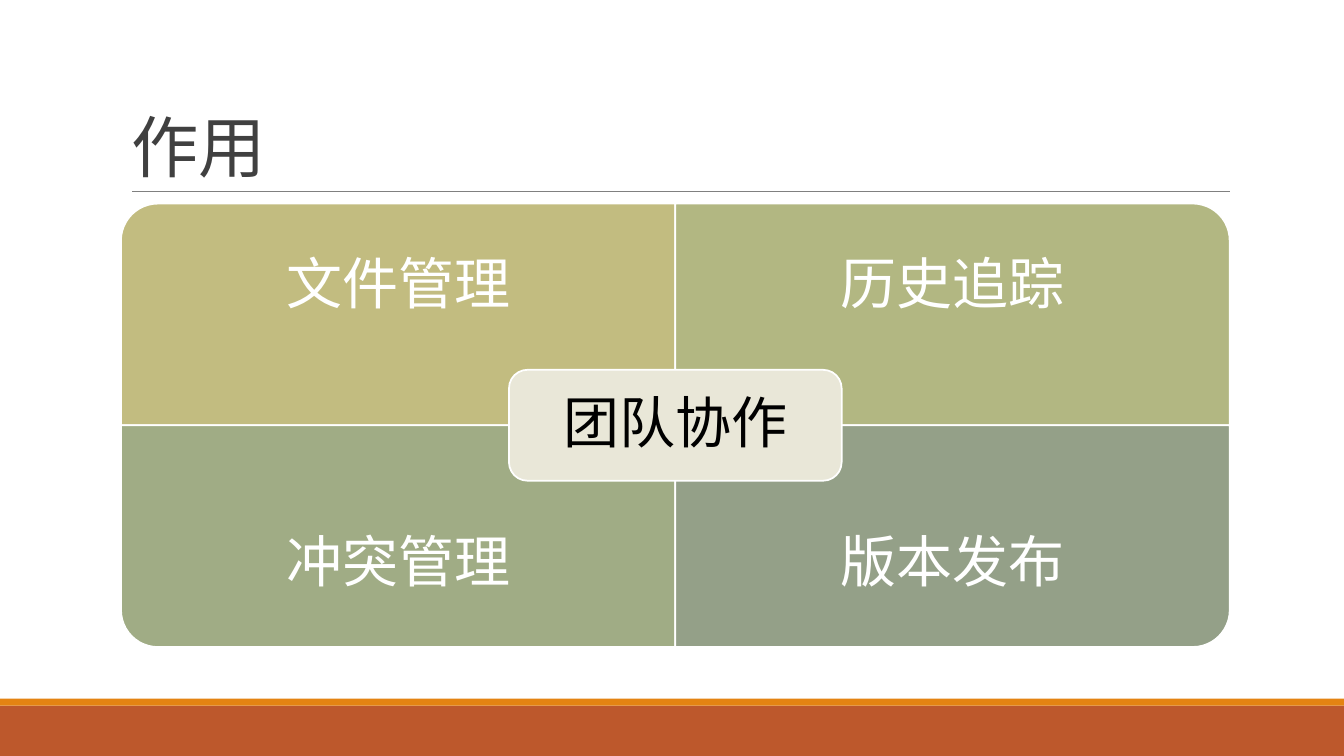
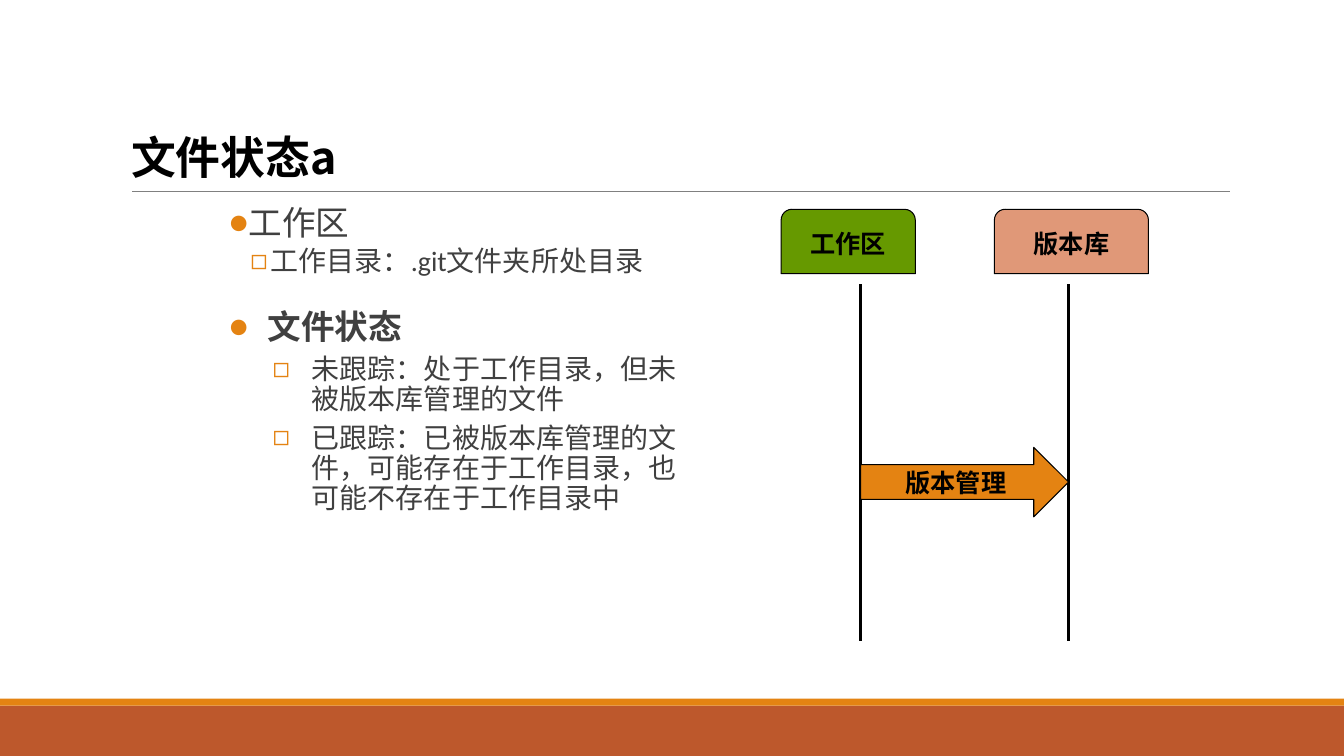
from lxml.etree import SubElement
from pptx import Presentation
from pptx.dml.color import RGBColor
from pptx.enum.shapes import MSO_CONNECTOR, MSO_SHAPE
from pptx.enum.text import MSO_ANCHOR, MSO_AUTO_SIZE, PP_ALIGN
from pptx.oxml.ns import qn
from pptx.util import Pt

SLIDE_W, SLIDE_H = 960, 540
TITLE_ONLY = 5
LATIN, CJK = "Calibri", "Noto Sans CJK SC"
COLORS = {
    "white": "FFFFFF", "black": "000000", "text": "404040", "rule": "808080",
    "rust": "BD582C", "orange": "E48312",
    "khaki": "C2BC80", "olive": "B2B782", "sage": "A0AC85", "slate": "94A088",
    "cream": "E9E7D8", "green": "669900", "salmon": "E09878",
}


def rgb(name):
    return RGBColor.from_string(COLORS[name])


def format_text(paragraph, size, color, bold=False, latin=LATIN):
    for run in paragraph.runs:
        run.font.size = Pt(size)
        run.font.bold = bold
        run.font.color.rgb = rgb(color)
        run.font.name = latin
        SubElement(run.font._element, qn("a:ea"), typeface=CJK)


def add_block(slide, kind, left, top, width, height, fill, line=None, weight=0.75):
    block = slide.shapes.add_shape(kind, Pt(left), Pt(top), Pt(width), Pt(height))
    block.shadow.inherit = False
    block.fill.solid()
    block.fill.fore_color.rgb = rgb(fill)
    if line:
        block.line.color.rgb = rgb(line)
        block.line.width = Pt(weight)
    else:
        block.line.fill.background()
    return block


def add_line(slide, x1, y1, x2, y2, color, weight):
    line = slide.shapes.add_connector(
        MSO_CONNECTOR.STRAIGHT, Pt(x1), Pt(y1), Pt(x2), Pt(y2))
    line.line.color.rgb = rgb(color)
    line.line.width = Pt(weight)
    SubElement(line._element.spPr, qn("a:effectLst"))


def write_centred(shape, text, size, color, bold=False, wrap=False, spacing=1.0):
    frame = shape.text_frame
    frame.text = text
    frame.word_wrap = wrap
    frame.vertical_anchor = MSO_ANCHOR.MIDDLE
    paragraph = frame.paragraphs[0]
    paragraph.alignment = PP_ALIGN.CENTER
    paragraph.line_spacing = spacing
    format_text(paragraph, size, color, bold)


def add_titled_slide(prs, title, left, top, width, height, anchor, align):
    """Add a slide with the shared bands and rule, and place its title."""
    slide = prs.slides.add_slide(prs.slide_layouts[TITLE_ONLY])
    add_block(slide, MSO_SHAPE.RECTANGLE, 0, 504, SLIDE_W, 36, "rust")
    add_block(slide, MSO_SHAPE.RECTANGLE, 0, 499, SLIDE_W, 5, "orange")
    add_line(slide, 94.5, 136.8, 878.5, 136.8, "rule", 0.5)

    heading = slide.shapes.title
    heading.left, heading.top = Pt(left), Pt(top)
    heading.width, heading.height = Pt(width), Pt(height)
    frame = heading.text_frame
    frame.text = title
    frame.word_wrap = True
    frame.auto_size = MSO_AUTO_SIZE.NONE
    frame.vertical_anchor = anchor
    frame.paragraphs[0].alignment = align
    return slide, frame.paragraphs[0]


def add_matrix(slide, quadrants, core):
    """Four quadrants, each rounded at its outer corner, around a core."""
    left, top, width, height = 86.4, 145.4, 396, 158.4
    label_height = height * 0.75
    for index, (text, fill, rotation) in enumerate(quadrants):
        row, col = divmod(index, 2)
        x, y = left + col * width, top + row * height
        # A quarter turn swaps the sides about the same centre
        w, h = (height, width) if rotation in (90, 270) else (width, height)
        quadrant = add_block(
            slide, MSO_SHAPE.ROUND_1_RECTANGLE,
            x + (width - w) / 2, y + (height - h) / 2, w, h, fill, "white", 1.25)
        quadrant.rotation = rotation
        label = slide.shapes.add_textbox(
            Pt(x), Pt(y + row * (height - label_height)), Pt(width), Pt(label_height))
        write_centred(label, text, 40, "white", wrap=True, spacing=0.9)

    core_width, core_height = width * 0.6, height / 2
    centre = add_block(
        slide, MSO_SHAPE.ROUNDED_RECTANGLE,
        left + width - core_width / 2, top + height - core_height / 2,
        core_width, core_height, "cream", "white", 1.25)
    write_centred(centre, core, 40, "black", wrap=True, spacing=0.9)


def add_bullets(slide, items, left, top, width, height):
    """Each item: text, bullet, size, bold, margin, hanging, line spacing, gaps."""
    frame = slide.shapes.add_textbox(Pt(left), Pt(top), Pt(width), Pt(height)).text_frame
    frame.word_wrap = True
    frame.text = "\n".join(item[0] for item in items)
    for paragraph, item in zip(frame.paragraphs, items):
        _, bullet, size, bold, margin, hanging, spacing, before, after = item
        paragraph.line_spacing = spacing
        paragraph.space_before, paragraph.space_after = Pt(before), Pt(after)
        format_text(paragraph, size, "text", bold)
        props = paragraph._p.get_or_add_pPr()
        props.set("marL", str(Pt(margin)))
        props.set("indent", str(-Pt(hanging)))
        bullet_color = SubElement(props, qn("a:buClr"))
        SubElement(bullet_color, qn("a:srgbClr"), val=COLORS["orange"])
        SubElement(props, qn("a:buFont"), typeface=LATIN)
        SubElement(props, qn("a:buChar"), char=bullet)


def build_purpose(prs):
    slide, title = add_titled_slide(
        prs, "作用", 87, 22, 792, 114.5, MSO_ANCHOR.BOTTOM, PP_ALIGN.LEFT)
    title.line_spacing = 0.85
    format_text(title, 48, "text")
    title.runs[0].font._element.set("spc", "-50")
    add_matrix(slide, [
        ("文件管理", "khaki", 270), ("历史追踪", "olive", 0),
        ("冲突管理", "sage", 180), ("版本发布", "slate", 90),
    ], "团队协作")


def build_file_states(prs):
    slide, title = add_titled_slide(
        prs, "文件状态a", 77.2, 89, 180, 73.5, MSO_ANCHOR.TOP, PP_ALIGN.CENTER)
    format_text(title, 32, "black", bold=True, latin=CJK)

    # Areas with their lifelines
    work_x, repo_x = 614.7, 763.3
    for text, fill, left, width, line_x in (
            ("工作区", "green", 558, 95.8, work_x),
            ("版本库", "salmon", 710.3, 110, repo_x)):
        area = add_block(slide, MSO_SHAPE.ROUND_2_SAME_RECTANGLE,
                         left, 149.5, width, 46, fill, "black")
        write_centred(area, text, 18, "black", bold=True)
        add_line(slide, line_x, 203, line_x, 458, "black", 2)

    # Step from the work area to the repository
    step = add_block(slide, MSO_SHAPE.RIGHT_ARROW,
                     work_x, 319.5, repo_x - work_x, 49.7, "orange", "black")
    write_centred(step, "版本管理", 18, "black", bold=True)

    # Definitions
    dot, square = "●", "◻"
    add_bullets(slide, [
        ("工作区", dot, 24, False, 7, 7, 1.5, 0, 2),
        ("工作目录：.git文件夹所处目录", square, 20, False, 30, 14.4, 0.9, 2, 4),
        ("文件状态", dot, 24, True, 28, 28, 1.5, 2, 4),
        ("未跟踪：处于工作目录，但未被版本库管理的文件", square, 20, False, 59.5, 28, 0.9, 2, 4),
        ("已跟踪：已被版本库管理的文件，可能存在于工作目录，也可能不存在于工作目录中",
         square, 20, False, 59.5, 28, 0.9, 2, 4),
    ], 156.2, 126, 352, 356)


def main():
    prs = Presentation()
    prs.slide_width, prs.slide_height = Pt(SLIDE_W), Pt(SLIDE_H)
    build_purpose(prs)
    build_file_states(prs)
    prs.save("out.pptx")


if __name__ == "__main__":
    main()
